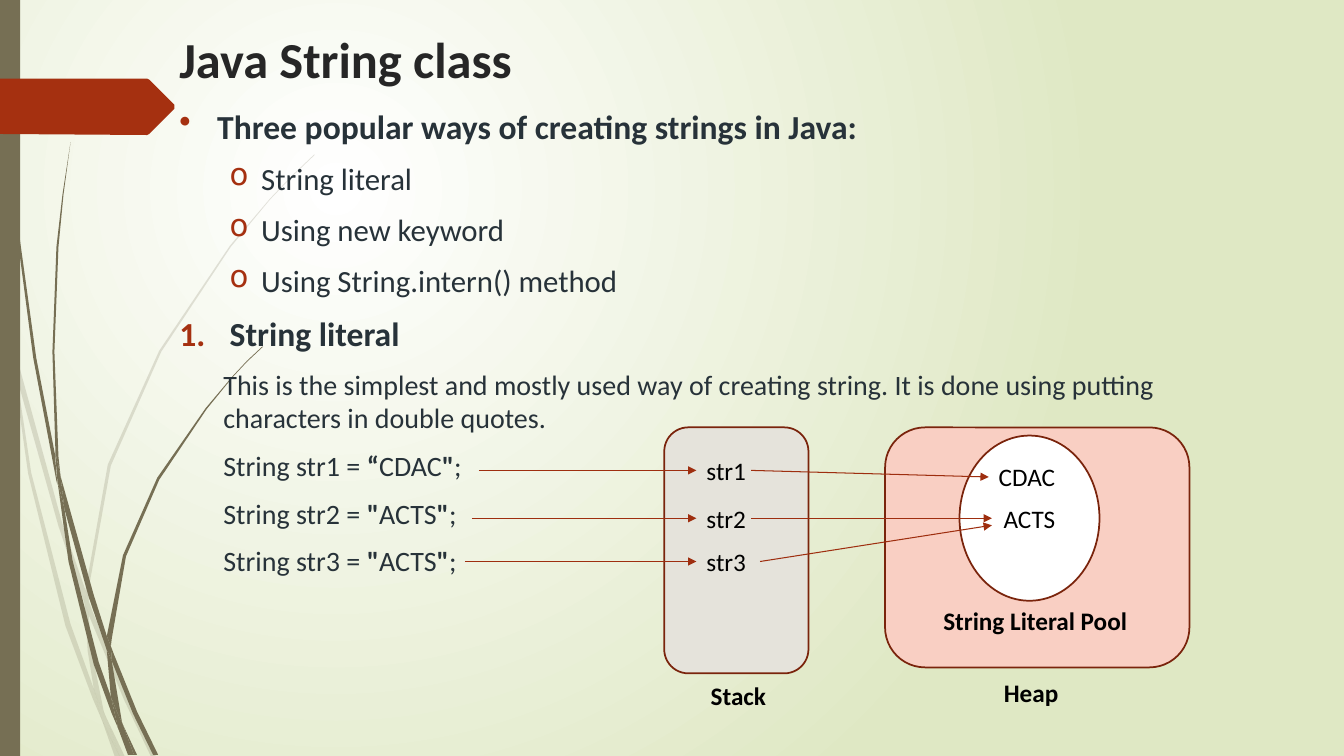
from lxml.etree import SubElement
from pptx import Presentation
from pptx.dml.color import RGBColor
from pptx.enum.shapes import MSO_CONNECTOR, MSO_SHAPE
from pptx.enum.text import MSO_ANCHOR, PP_ALIGN
from pptx.oxml.ns import qn
from pptx.util import Pt

OLIVE, RUST, DARK_RUST, INK = "766F54", "A53010", "7A240C", "273239"
GRID = 0.72

PALE_WISPS = [
    (11, 350, 9, 322, 0, 282, 0, 299, 10, 344),
    (58, 522, 84, 599, 85, 586, 62, 520, 14, 345, 17, 376),
    (92, 607, 88, 596, 88, 610, 123, 694, 150, 751, 155, 751, 127, 692),
    (119, 751, 124, 751, 105, 711),
    (93, 683, 70, 619, 31, 469, 17, 376, 11, 350, 28, 470, 65, 621, 92, 693,
     101, 714, 99, 707),
    (84, 599, 87, 646, 93, 683, 96, 692, 105, 711, 103, 706, 91, 646, 88, 610,
     88, 608),
    (88, 584, 110, 462, 160, 349, 229, 245, 268, 198, 290, 175, 312, 154,
     312, 153, 289, 175, 268, 197, 228, 244, 158, 348, 107, 461, 85, 584,
     85, 586, 88, 596),
    (101, 714, 114, 751, 119, 751),
    (88, 608, 88, 610, 88, 596, 85, 586, 84, 599),
    (96, 692, 93, 683, 99, 707, 101, 714, 119, 751, 105, 711),
]
SOLID_WISPS = [
    (7, 110, 17, 233, 33, 355, 56, 477, 57, 481, 55, 457, 55, 453, 36, 355,
     19, 232, 8, 109, 5, 48, 4, 0, 3, 0, 4, 48),
    (88, 592, 106, 645, 106, 633, 106, 631, 93, 590, 60, 472, 64, 505),
    (113, 649, 110, 641, 111, 656, 132, 708, 152, 749, 157, 749, 136, 706),
    (110, 691, 98, 657, 72, 556, 64, 505, 57, 477, 68, 557, 93, 659, 111, 708,
     117, 722, 116, 717),
    (60, 472, 58, 453, 54, 349, 58, 245, 63, 193, 70, 141, 62, 193,
     56, 245, 52, 349, 55, 449),
    (133, 749, 136, 749, 122, 719),
    (57, 477, 64, 505, 60, 472, 55, 449, 55, 453),
    (111, 633, 125, 552, 158, 476, 205, 406, 231, 374, 245, 359, 261, 344,
     260, 344, 245, 358, 231, 373, 204, 405, 156, 474, 122, 551, 106, 631,
     110, 641),
    (117, 722, 127, 749, 131, 749),
    (106, 645, 110, 691, 116, 706, 122, 719, 121, 716, 111, 656, 109, 651),
    (106, 645, 109, 651, 111, 656, 110, 641, 106, 631, 106, 633),
    (116, 706, 110, 691, 116, 717, 117, 722, 130, 749, 133, 749, 122, 719),
]
RIBBON = (173, 108, 148, 133, 146, 134, 0, 133, 0, 78, 146, 78, 148, 79, 173, 104)

WAYS = ["String literal", "Using new keyword", "Using String.intern() method"]
LITERAL_NOTE = ("This is the simplest and mostly used way of creating string. "
                "It is done using putting characters in double quotes.")
DECLARATIONS = [("str1", "“", "CDAC"), ("str2", '"', "ACTS"), ("str3", '"', "ACTS")]


def color(hex_code):
    return RGBColor.from_string(hex_code)


def paint(shape, fill, line=None):
    shape.shadow.inherit = False
    shape.fill.solid()
    shape.fill.fore_color.rgb = color(fill)
    if line:
        shape.line.color.rgb = color(line)
        shape.line.width = Pt(1.25)
    else:
        shape.line.fill.background()


def add_block(slide, preset, box, fill, line=None):
    block = slide.shapes.add_shape(preset, *map(Pt, box))
    paint(block, fill, line)
    return block


def write_run(paragraph, text, size=18, bold=False, ink="000000"):
    run = paragraph.add_run()
    run.text = text
    run.font.name = "Calibri"
    run.font.size = Pt(size)
    run.font.bold = bold
    run.font.color.rgb = color(ink)


def add_label(slide, box, text=None, **style):
    label = slide.shapes.add_textbox(*map(Pt, box))
    label.text_frame.word_wrap = True
    if text:
        write_run(label.text_frame.paragraphs[0], text, **style)
    return label


def add_outline(slide, box, flat, fill, opacity=None):
    points = [(Pt(box[0] + x * GRID), Pt(box[1] + y * GRID))
              for x, y in zip(flat[::2], flat[1::2])]
    builder = slide.shapes.build_freeform(*points[0])
    builder.add_line_segments(points[1:])
    outline = builder.convert_to_shape()
    paint(outline, fill)
    if opacity:
        tint = outline._element.spPr.find(qn("a:solidFill") + "/" + qn("a:srgbClr"))
        SubElement(tint, qn("a:alpha"), val=str(opacity * 1000))


def add_arrow(slide, start, end, target=None):
    arrow = slide.shapes.add_connector(MSO_CONNECTOR.STRAIGHT, *map(Pt, start + end))
    if target is not None:
        arrow.end_connect(target, 1)
    arrow.line.color.rgb = color("9E2E0F")
    arrow.line.width = Pt(0.75)
    outline = arrow._element.spPr.find(qn("a:ln"))
    SubElement(outline, qn("a:tailEnd"), type="triangle")
    SubElement(arrow._element.spPr, qn("a:effectLst"))


def set_background(slide):
    fill = slide.background.fill
    fill.gradient()
    for stop, shade in zip(fill.gradient_stops, ("FFFFFF", "DFE8C4")):
        stop.color.rgb = color(shade)
    gradient = slide.element.find(".//" + qn("a:gradFill"))
    gradient.remove(gradient.find(qn("a:lin")))
    glow = SubElement(gradient, qn("a:path"), path="circle")
    SubElement(glow, qn("a:fillToRect"), l="50000", t="50000", r="100000", b="100000")


def draw_margin(slide, box):
    for wisp in PALE_WISPS:
        add_outline(slide, box, wisp, OLIVE, opacity=20)
    for wisp in SOLID_WISPS:
        add_outline(slide, box, wisp, OLIVE)
    add_block(slide, MSO_SHAPE.RECTANGLE, (box[0], box[1], 14.4, box[3]), OLIVE)
    add_outline(slide, box, RIBBON, RUST)


def write_body(slide, box):
    frame = add_label(slide, box).text_frame

    def add_item(pieces, size, margin, hanging=0, bullet=None, **kind):
        first = frame.paragraphs[0]
        item = frame.add_paragraph() if first.runs else first
        item.space_before = Pt(10)
        layout = item._p.get_or_add_pPr()
        layout.set("marL", str(Pt(margin)))
        layout.set("indent", str(Pt(-hanging)))
        if bullet:
            tint = SubElement(layout, qn("a:buClr"))
            SubElement(tint, qn("a:srgbClr"), val=RUST)
            SubElement(layout, qn(bullet), **kind)
        for text, bold in pieces:
            write_run(item, text, size=size, bold=bold, ink=INK)

    add_item([("Three popular ways of creating strings in Java:", True)],
             24, 27, 27, "a:buChar", char="•")
    for way in WAYS:
        add_item([(way, False)], 22, 58.5, 22.5, "a:buChar", char="o")
    add_item([(WAYS[0], True)], 24, 36, 36, "a:buAutoNum", type="arabicPeriod")
    add_item([(LITERAL_NOTE, False)], 20, 31.5)
    for name, quote, value in DECLARATIONS:
        add_item([(f"String {name} = ", False), (quote, True), (value, False),
                  ('"', True), (";", False)], 20, 31.5)


def draw_heap(slide, box):
    left, top, width, height = box
    add_block(slide, MSO_SHAPE.ROUNDED_RECTANGLE, box, "F9CFC3", DARK_RUST)
    pool = add_block(slide, MSO_SHAPE.OVAL, (left + 53.2, top + 5.8, 100, 118),
                     "FFFFFF", DARK_RUST)
    pool.text_frame.vertical_anchor = MSO_ANCHOR.MIDDLE
    acts = pool.text_frame.paragraphs[0]
    acts.alignment = PP_ALIGN.CENTER
    write_run(acts, "ACTS")
    add_label(slide, (left + 34.5, top + 123.8, 168.5, 29), "String Literal Pool", bold=True)
    add_label(slide, (left + 77.7, top + height + 3.5, 93, 29), "Heap", bold=True)
    return add_label(slide, (left + 74.1, top + 20.9, 74, 29), "CDAC")


def draw_stack(slide, box):
    left, top, width, height = box
    add_block(slide, MSO_SHAPE.ROUNDED_RECTANGLE, box, "E5E3DB", DARK_RUST)
    add_label(slide, (left + 26, top + height + 1.4, 68.4, 29), "Stack", bold=True)
    return [add_label(slide, (left + 23, top + drop, 57, 29), name)
            for (name, _, _), drop in zip(DECLARATIONS, (16.2, 50.4, 81.3))]


def draw_memory(slide, box):
    left, top = box[:2]
    cdac = draw_heap(slide, (left + 157.7, top, 217.4, 171.4))
    variables = draw_stack(slide, (left, top, 103, 175.7))
    levels = [(label.top + label.height // 2) / Pt(1) for label in variables]
    for i, (label, level) in enumerate(zip(variables, levels)):
        add_arrow(slide, (left - 132.5 - 5 * i, level), (left + 23, level), label)
    values = left + 234
    add_arrow(slide, (left + 62, levels[0]), (values, levels[0] + 5), cdac)
    add_arrow(slide, (left + 62, levels[1]), (values, levels[1]))
    add_arrow(slide, (left + 68.4, levels[2]), (values, levels[1] + 5))


def main():
    deck = Presentation()
    deck.slide_width, deck.slide_height = Pt(960), Pt(540)
    slide = deck.slides.add_slide(deck.slide_layouts[6])
    set_background(slide)
    draw_margin(slide, (0, 0, 225, 540))
    add_label(slide, (121, 16.6, 828, 74), "Java String class", size=36, bold=True, ink="262626")
    write_body(slide, (121, 72, 773.3, 460))
    draw_memory(slide, (474.5, 305.3, 375.1, 206))
    deck.save("out.pptx")


if __name__ == "__main__":
    main()
